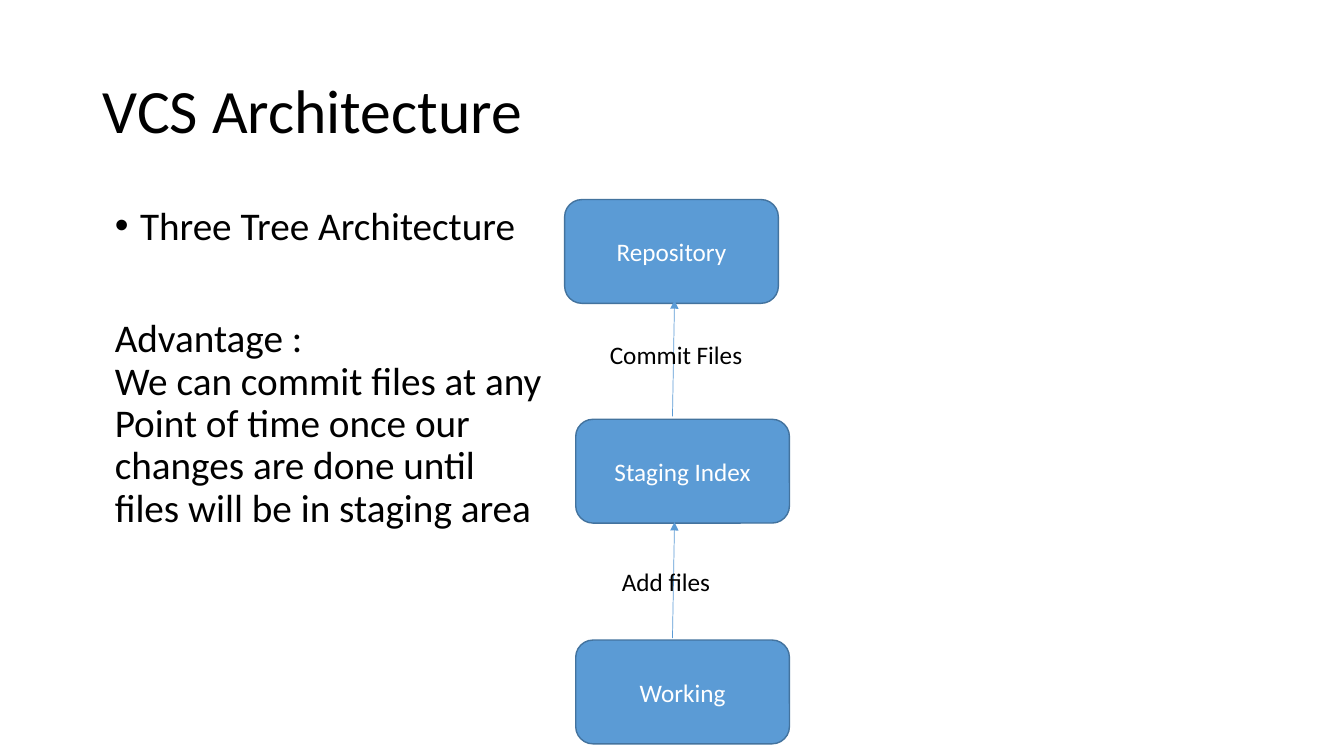
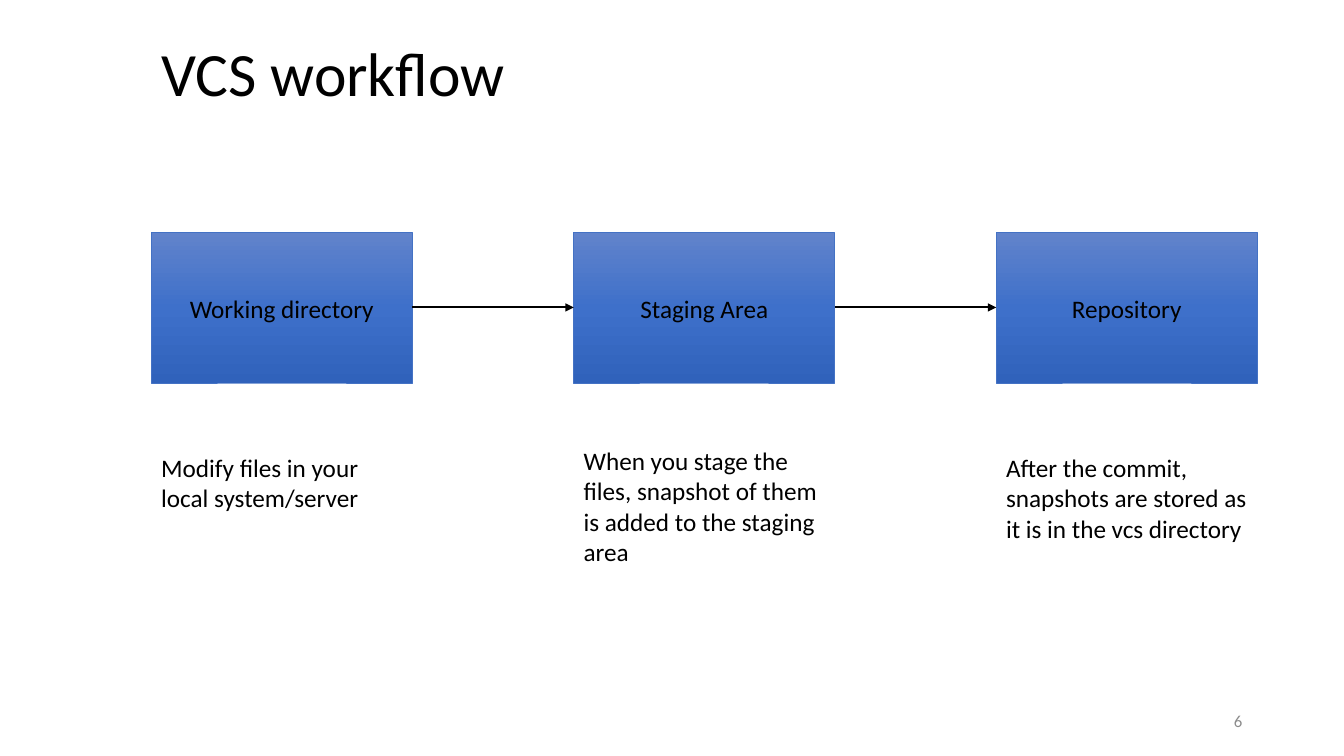
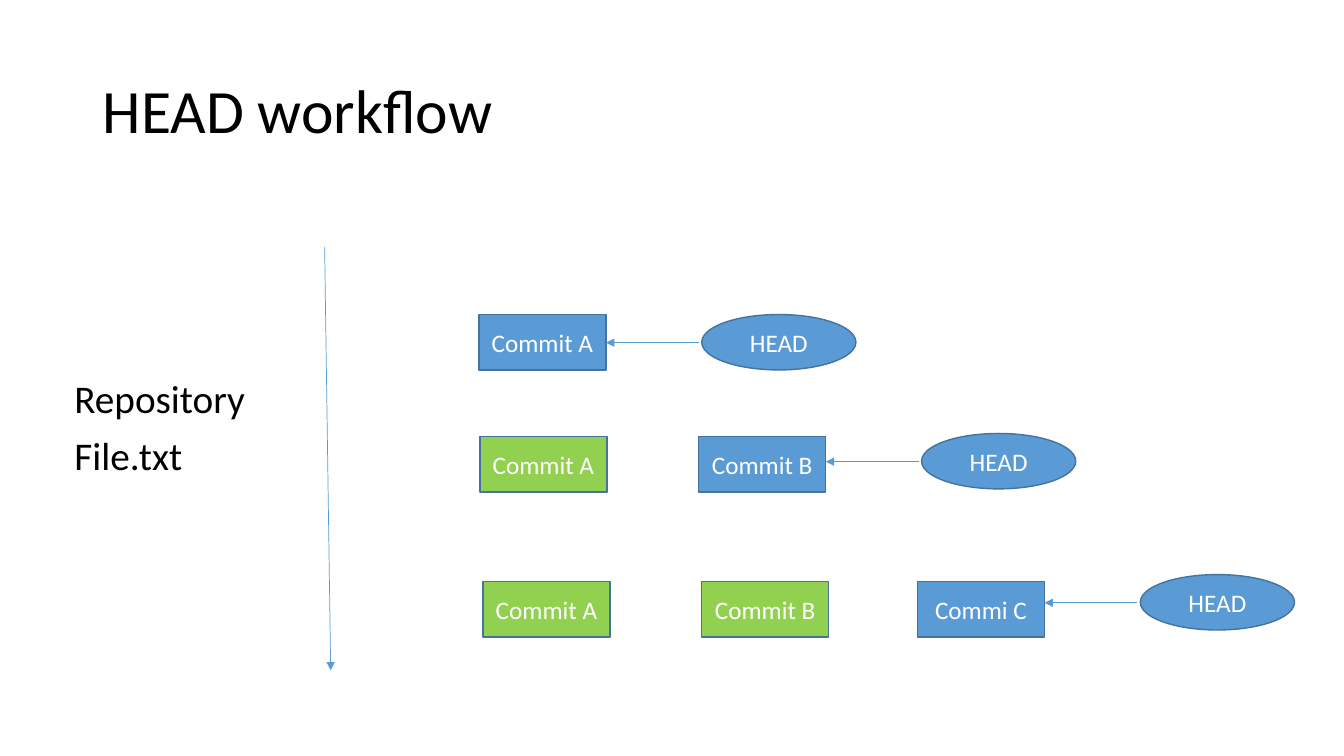
from copy import deepcopy

from lxml.etree import SubElement
from pptx import Presentation
from pptx.dml.color import RGBColor
from pptx.enum.shapes import MSO_CONNECTOR, MSO_SHAPE
from pptx.enum.text import MSO_ANCHOR as Anchor, PP_ALIGN as Align
from pptx.oxml.ns import qn
from pptx.util import Inches, Pt

# Shared look
FONT = "Calibri"
BLACK, WHITE, GREY = "000000", "FFFFFF", "8C8C8C"
BLUE, BLUE_EDGE, GREEN = "5B9BD5", "43739E", "92D050"
STEP_SHADES, STEP_EDGE = ["6183CB", "3E70CA", "3062BB"], "4472C4"
TITLE_AT = (0.92, 0.4, 11.5, 1.45)


def rgb(color):
    return RGBColor.from_string(color)


def write(frame, *lines, size=18, color=BLACK, align=Align.LEFT,
          anchor=Anchor.TOP, spacing=None, before=0):
    """Fill a text frame with one paragraph per line."""
    frame.word_wrap = True
    frame.vertical_anchor = anchor
    for index, line in enumerate(lines):
        paragraph = frame.paragraphs[0] if index == 0 else frame.add_paragraph()
        paragraph.alignment = align
        paragraph.line_spacing = spacing
        paragraph.space_before = Pt(before)
        run = paragraph.add_run()
        run.text = line
        run.font.name = FONT
        run.font.size = Pt(size)
        run.font.color.rgb = rgb(color)
    return frame.paragraphs


def add_text(slide, at, *lines, **style):
    box = slide.shapes.add_textbox(*map(Inches, at))
    return write(box.text_frame, *lines, **style)


def add_title(slide, title, at=TITLE_AT):
    add_text(slide, at, title, size=44, anchor=Anchor.MIDDLE, spacing=0.9)


def add_node(slide, kind, at, label, fill=BLUE, edge=BLUE_EDGE, weight=1, color=WHITE):
    """Labelled shape; a list of fills becomes a downward gradient."""
    node = slide.shapes.add_shape(kind, *map(Inches, at))
    node.shadow.inherit = False
    if isinstance(fill, list):
        shade_down(node, fill)
    else:
        node.fill.solid()
        node.fill.fore_color.rgb = rgb(fill)
    node.line.color.rgb = rgb(edge)
    node.line.width = Pt(weight)
    write(node.text_frame, label, color=color, align=Align.CENTER, anchor=Anchor.MIDDLE)


def shade_down(node, shades):
    node.fill.gradient()
    node.fill.gradient_angle = 270
    stop_list = node._element.spPr.find(".//" + qn("a:gsLst"))
    while len(stop_list) < len(shades):
        stop_list.append(deepcopy(stop_list[0]))
    for index, (stop, shade) in enumerate(zip(node.fill.gradient_stops, shades)):
        stop.position = index / (len(shades) - 1)
        stop.color.rgb = rgb(shade)


def add_arrow(slide, start, end, color=BLUE, weight=0.5):
    arrow = slide.shapes.add_connector(MSO_CONNECTOR.STRAIGHT, *map(Inches, start + end))
    arrow.line.color.rgb = rgb(color)
    arrow.line.width = Pt(weight)
    SubElement(arrow.line._get_or_add_ln(), qn("a:tailEnd"), type="triangle")
    SubElement(arrow._element.spPr, qn("a:effectLst"))


def add_bullet(paragraph):
    properties = paragraph._p.get_or_add_pPr()
    properties.set("marL", str(Inches(0.25)))
    properties.set("indent", str(-Inches(0.25)))
    SubElement(properties, qn("a:buFont"), typeface="Arial")
    SubElement(properties, qn("a:buChar"), char="•")


def build_architecture(slide):
    add_title(slide, "VCS Architecture")
    heading, advantage, *reasons = add_text(
        slide, (1.04, 2, 11.38, 5.5),
        "Three Tree Architecture", "Advantage :", "We can commit files at any",
        "Point of time once our", "changes are done until",
        "files will be in staging area", size=28, spacing=0.9)
    add_bullet(heading)
    advantage.space_before = Pt(50)

    # The three trees, with an arrow up from each to the one above
    trees = [("Repository", 5.6, 1.98), ("Staging Index", 5.71, 4.16), ("Working", 5.71, 6.35)]
    for tree, left, top in trees:
        add_node(slide, MSO_SHAPE.ROUNDED_RECTANGLE, (left, top, 2.12, 1.03), tree)
    for tail_y in (4.13, 6.33):
        add_arrow(slide, (6.67, tail_y), (6.69, tail_y - 1.15))
    add_text(slide, (6.07, 5.57, 1.2, 0.4), "Add files")
    add_text(slide, (5.95, 3.32, 1.78, 0.4), "Commit Files")


def build_workflow(slide):
    add_title(slide, "VCS workflow", (1.5, 0.36, 10.5, 0.8))
    steps = [
        ("Working directory", "Modify files in your local system/server", 4.44, 2.44),
        ("Staging Area",
         "When you stage the files, snapshot of them is added to the staging area", 4.37, 2.59),
        ("Repository",
         "After the commit, snapshots are stored as it is in the vcs directory", 4.44, 2.59),
    ]
    width, pitch = 2.59, 4.19
    for index, (step, detail, detail_top, detail_width) in enumerate(steps):
        left = 1.5 + index * pitch
        add_node(slide, MSO_SHAPE.RECTANGLE, (left, 2.31, width, 1.49), step,
                 fill=STEP_SHADES, edge=STEP_EDGE, weight=0.5, color=BLACK)
        add_text(slide, (left, detail_top, detail_width, 1.31), detail)
        if index:
            add_arrow(slide, (left - pitch + width, 3.05), (left, 3.05), BLACK, 1.5)
    add_text(slide, (9.42, 6.95, 3, 0.4), "6", size=12, color=GREY,
             align=Align.RIGHT, anchor=Anchor.MIDDLE)


def build_head(slide):
    add_title(slide, "HEAD workflow")
    add_text(slide, (0.64, 3.72, 2.5, 1.2), "Repository", "File.txt",
             size=28, spacing=0.9, before=10)
    add_arrow(slide, (3.22, 2.45), (3.28, 6.65))

    # Each row: commits with their left edges, commit top, HEAD top
    rows = [
        ([("Commit A", 4.75)], 3.12, 3.12),
        ([("Commit A", 4.76), ("Commit B", 6.93)], 4.33, 4.3),
        ([("Commit A", 4.79), ("Commit B", 6.96), ("Commi C", 9.1)], 5.77, 5.7),
    ]
    for commits, top, head_top in rows:
        latest = commits[-1][1]
        for commit, left in commits:
            add_node(slide, MSO_SHAPE.RECTANGLE, (left, top, 1.26, 0.55), commit,
                     fill=BLUE if left == latest else GREEN)
        add_node(slide, MSO_SHAPE.OVAL, (latest + 2.21, head_top, 1.53, 0.55), "HEAD")
        arrow_y = head_top + 0.28
        add_arrow(slide, (latest + 2.18, arrow_y), (latest + 1.26, arrow_y))


def main():
    deck = Presentation()
    deck.slide_width, deck.slide_height = Inches(13.33), Inches(7.5)
    for build in (build_architecture, build_workflow, build_head):
        build(deck.slides.add_slide(deck.slide_layouts[6]))
    deck.save("out.pptx")


main()
